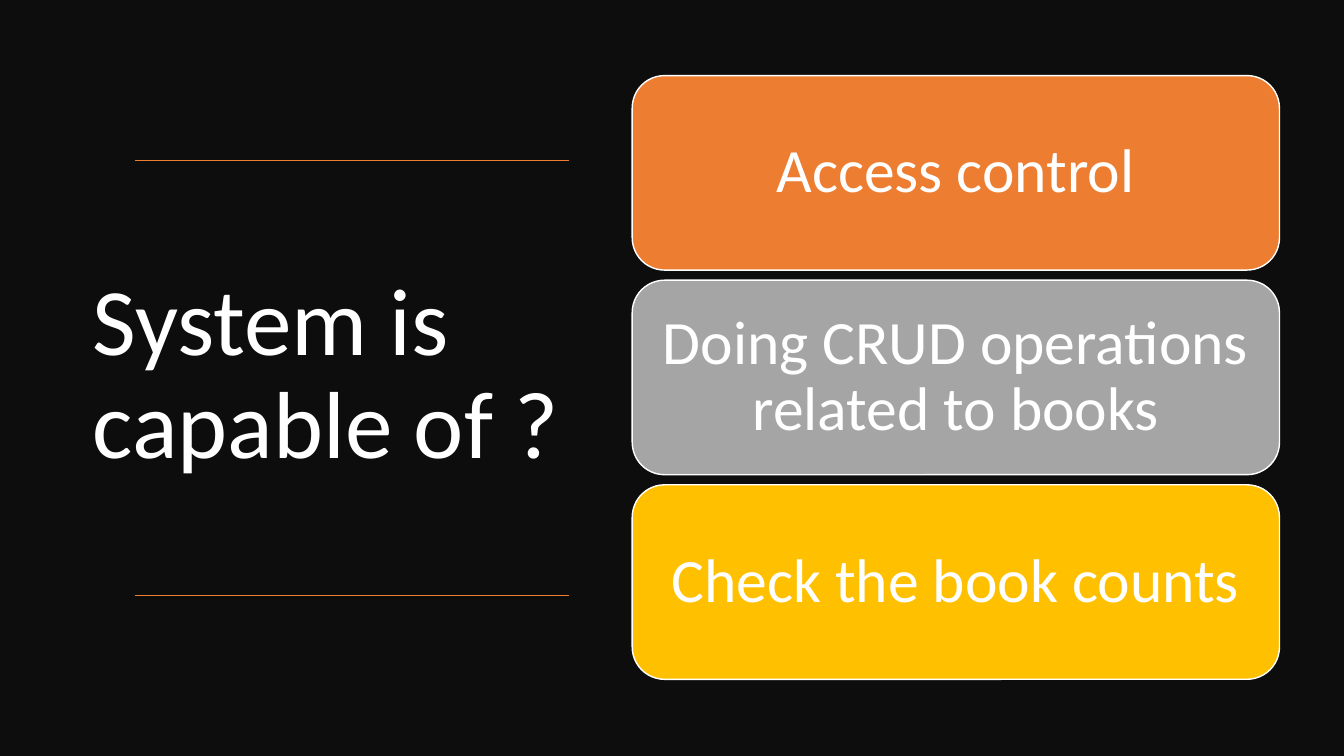
from dataclasses import dataclass

from lxml import etree
from pptx import Presentation
from pptx.dml.color import RGBColor
from pptx.enum.shapes import MSO_CONNECTOR, MSO_SHAPE
from pptx.enum.text import MSO_ANCHOR, PP_ALIGN
from pptx.oxml.ns import qn
from pptx.util import Inches, Pt

RECT, ROUND = MSO_SHAPE.RECTANGLE, MSO_SHAPE.ROUNDED_RECTANGLE
LINE = MSO_CONNECTOR.STRAIGHT
MIDDLE = MSO_ANCHOR.MIDDLE
LEFT, CENTER = PP_ALIGN.LEFT, PP_ALIGN.CENTER


@dataclass(frozen=True)
class Theme:
    font: str = "Calibri"
    title: Pt = Pt(68)
    card: Pt = Pt(44)
    rule: Pt = Pt(1)
    back: RGBColor = RGBColor(0x0D, 0x0D, 0x0D)
    white: RGBColor = RGBColor(0xFF, 0xFF, 0xFF)
    orange: RGBColor = RGBColor(0xED, 0x7D, 0x31)
    grey: RGBColor = RGBColor(0xA5, 0xA5, 0xA5)
    gold: RGBColor = RGBColor(0xFF, 0xC0, 0x00)


theme = Theme()


def add_box(slide, kind, left, top, width, height, fill):
    """Add a flat filled shape without a shadow."""
    box = slide.shapes.add_shape(
        kind, Inches(left), Inches(top), Inches(width), Inches(height))
    box.shadow.inherit = False
    box.fill.solid()
    box.fill.fore_color.rgb = fill
    return box


def set_text(frame, text, size, align):
    """Write one white paragraph, centred top to bottom."""
    frame.word_wrap = True
    frame.vertical_anchor = MIDDLE
    para = frame.paragraphs[0]
    para.text = text
    para.alignment = align
    para.line_spacing = 0.9
    para.font.name = theme.font
    para.font.size = size
    para.font.color.rgb = theme.white


deck = Presentation()
deck.slide_width, deck.slide_height = Inches(13.33), Inches(7.5)
slide = deck.slides.add_slide(deck.slide_layouts[6])

# Backdrop
back = add_box(slide, RECT, 0, 0, 13.33, 7.5, theme.back)
back.line.fill.background()

# Title between two rules
title = slide.shapes.add_textbox(
    Inches(0.82), Inches(1.57), Inches(5.13), Inches(4.33))
set_text(title.text_frame, "System is capable of ?", theme.title, LEFT)

for y in (1.59, 5.91):
    rule = slide.shapes.add_connector(
        LINE, Inches(5.64), Inches(y), Inches(1.34), Inches(y))
    rule.line.color.rgb = theme.orange
    rule.line.width = theme.rule
    etree.SubElement(rule.element.spPr, qn("a:effectLst"))

# Stack of cards
cards = [
    ("Access control", theme.orange),
    ("Doing CRUD operations related to books", theme.grey),
    ("Check the book counts", theme.gold),
]
first, step = 0.75, 2.03
for i, (text, fill) in enumerate(cards):
    card = add_box(slide, ROUND, 6.27, first + i * step, 6.42, 1.93, fill)
    card.line.color.rgb = theme.white
    card.line.width = theme.rule
    frame = card.text_frame
    frame.margin_left = frame.margin_right = Inches(0.18)
    frame.margin_top = frame.margin_bottom = Inches(0.09)
    set_text(frame, text, theme.card, CENTER)

deck.save("out.pptx")
